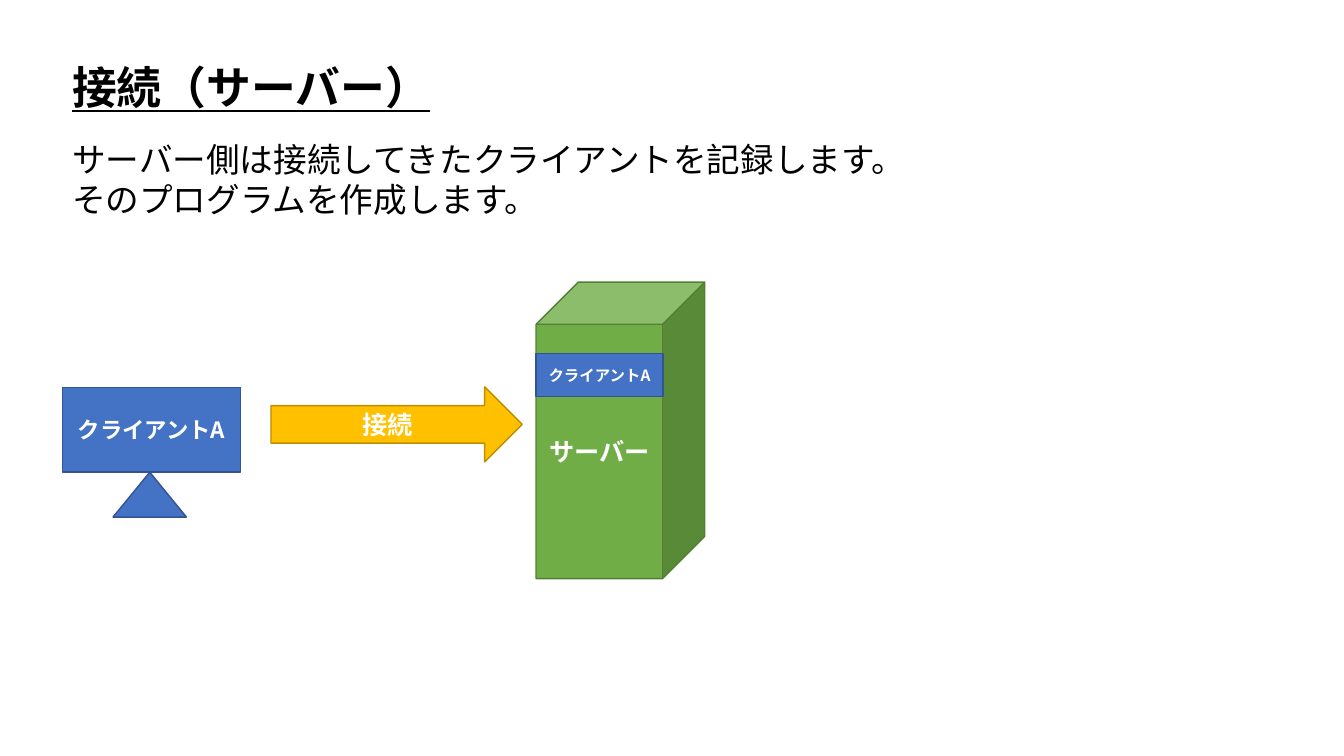
from lxml import etree
from pptx import Presentation
from pptx import util as u
from pptx.dml.color import RGBColor
from pptx.enum import shapes, text
from pptx.oxml import ns

FONT = "Noto Sans CJK JP"
COLORS = {
    "ink": "000000",
    "white": "FFFFFF",
    "client": "4472C4",
    "client_edge": "325491",
    "server": "70AD47",
    "server_edge": "538035",
    "connect": "FFC000",
    "connect_edge": "BD8E00",
}


def color(name):
    return RGBColor.from_string(COLORS[name])


def write(frame, content, size, ink="ink", bold=False, underline=False,
          align=text.PP_ALIGN.LEFT, anchor=text.MSO_ANCHOR.TOP):
    frame.word_wrap = False
    frame.vertical_anchor = anchor
    for index, line in enumerate(content.split("\n")):
        paragraph = frame.add_paragraph() if index else frame.paragraphs[0]
        paragraph.alignment = align
        run = paragraph.add_run()
        run.text = line
        font = run.font
        font.size = u.Pt(size)
        font.bold = bold
        font.underline = underline
        font.color.rgb = color(ink)
        font.name = FONT
        east_asian = etree.SubElement(run._r.get_or_add_rPr(), ns.qn("a:ea"))
        east_asian.set("typeface", FONT)


def add_text(slide, box, content, size, **style):
    frame = slide.shapes.add_textbox(*map(u.Cm, box)).text_frame
    write(frame, content, size, **style)
    frame.auto_size = text.MSO_AUTO_SIZE.SHAPE_TO_FIT_TEXT


def add_block(slide, kind, box, role, label=None, size=18):
    block = slide.shapes.add_shape(kind, *map(u.Cm, box))
    block.shadow.inherit = False
    block.fill.solid()
    block.fill.fore_color.rgb = color(role)
    block.line.color.rgb = color(role + "_edge")
    block.line.width = u.Pt(1)
    if label:
        write(block.text_frame, label, size, ink="white", bold=True,
              align=text.PP_ALIGN.CENTER, anchor=text.MSO_ANCHOR.MIDDLE)


def main():
    deck = Presentation()
    deck.slide_width = u.Cm(33.87)
    deck.slide_height = u.Cm(19.05)
    slide = deck.slides.add_slide(deck.slide_layouts[6])
    preset = shapes.MSO_SHAPE

    add_text(slide, (1.57, 1.37, 9.63, 1.62), "接続（サーバー）", 32,
             bold=True, underline=True)
    add_text(slide, (1.57, 3.38, 21.89, 2.31),
             "サーバー側は接続してきたクライアントを記録します。\n"
             "そのプログラムを作成します。", 24)

    client = "クライアントA"
    add_block(slide, preset.ISOSCELES_TRIANGLE, (2.85, 11.9, 1.85, 1.13), "client")
    add_block(slide, preset.RECTANGLE, (1.57, 9.76, 4.5, 2.14), "client", client, 16)
    add_block(slide, preset.CUBE, (13.51, 7.11, 4.25, 7.47), "server", "サーバー")
    add_block(slide, preset.RIGHT_ARROW, (6.83, 9.75, 6.33, 1.89), "connect", "接続")
    add_block(slide, preset.RECTANGLE, (13.51, 8.91, 3.2, 1.08), "client", client, 11)

    deck.save("out.pptx")


if __name__ == "__main__":
    main()
